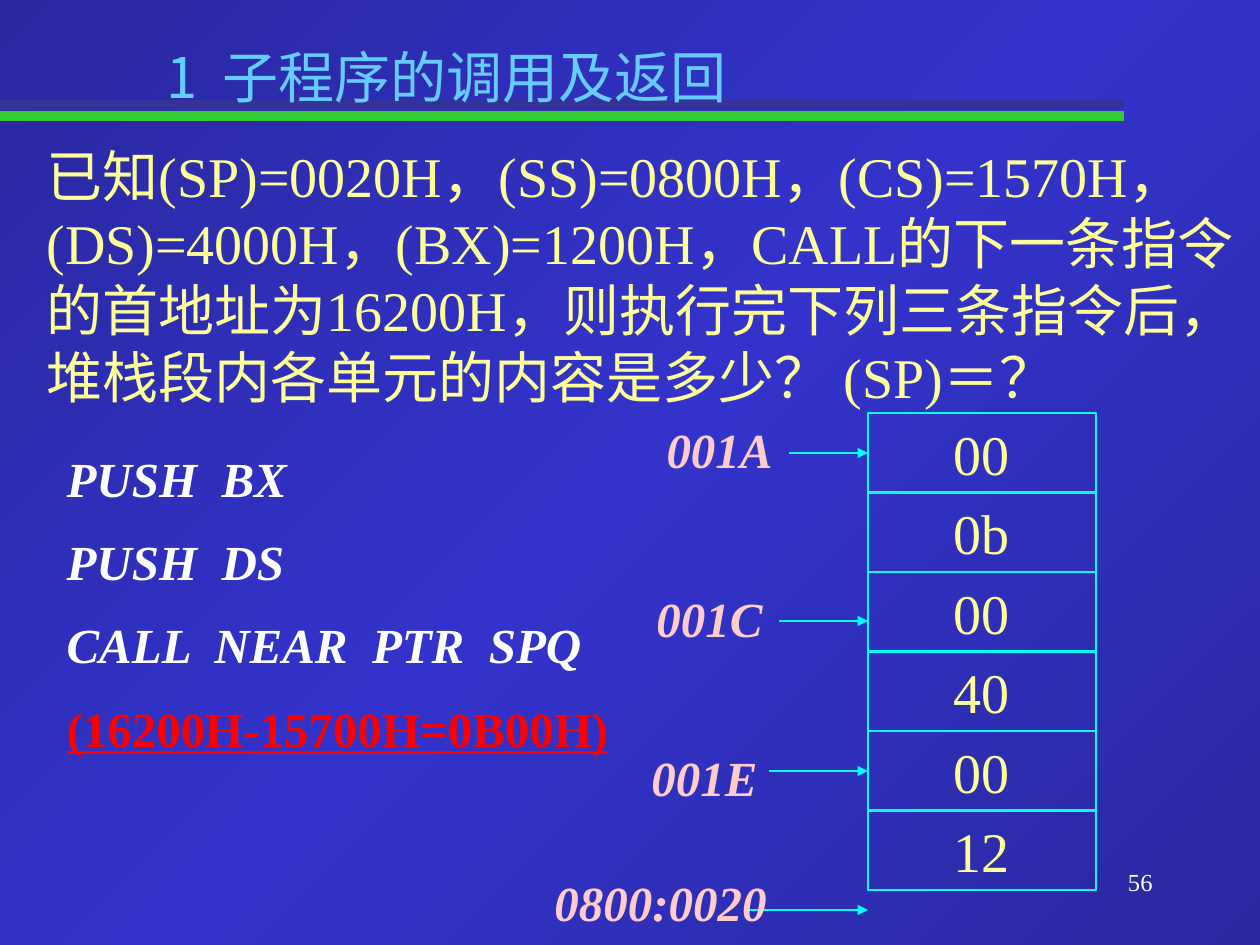
from lxml.etree import SubElement
from copy import deepcopy
from pptx import Presentation
from pptx.dml.color import RGBColor
from pptx.enum.shapes import MSO_CONNECTOR, MSO_SHAPE
from pptx.enum.text import MSO_ANCHOR, MSO_AUTO_SIZE, PP_ALIGN
from pptx.oxml.ns import qn
from pptx.util import Pt

PX = 914400 / 126
LATIN, CJK = "Times New Roman", "Noto Sans CJK SC"

BLUE = RGBColor(0x33, 0x33, 0xCC)
DARK_BLUE = RGBColor(0x28, 0x28, 0x9F)
NAVY = RGBColor(0x33, 0x33, 0x99)
GREEN = RGBColor(0x33, 0xCC, 0x33)
CYAN = RGBColor(0x00, 0xFF, 0xFF)
SKY = RGBColor(0x66, 0xCC, 0xFF)
YELLOW = RGBColor(0xFF, 0xFF, 0x99)
PINK = RGBColor(0xFF, 0xCC, 0xCC)
RED = RGBColor(0xFF, 0x00, 0x00)
WHITE = RGBColor(0xFF, 0xFF, 0xFF)

# Content
TITLE = "1  子程序的调用及返回"
PROBLEM = ("已知(SP)=0020H，(SS)=0800H，(CS)=1570H，(DS)=4000H，(BX)=1200H，"
           "CALL的下一条指令的首地址为16200H，则执行完下列三条指令后，"
           "堆栈段内各单元的内容是多少？ (SP)＝？")
INSTRUCTIONS = ["PUSH  BX", "PUSH  DS", "CALL  NEAR  PTR  SPQ"]
OFFSET = "(16200H-15700H=0B00H)"
PAGE_NUMBER = "56"
STACK = ["00", "0b", "00", "40", "00", "12"]
# address, label box (px), arrow start x, arrow y, index of the cell joined
POINTERS = [
    ("0800:0020", (512, 866, 297, 72), 748, 910, None),
    ("001E", (620, 741, 169, 72), 769, 771, 4),
    ("001C", (630, 582, 159, 72), 779, 621, None),
    ("001A", (640, 413, 159, 72), 789, 453, 0),
]
RULES = [(105, NAVY), (116, GREEN)]

# Text formats
TITLE_FORMAT = dict(name=CJK, size=Pt(32), color=SKY, bold=False)
PROBLEM_FORMAT = dict(name=LATIN, size=Pt(32), color=YELLOW)
CODE_FORMAT = dict(name=LATIN, size=Pt(28), color=WHITE, bold=True, italic=True)
OFFSET_FORMAT = dict(name=LATIN, size=Pt(28), color=RED, bold=True, italic=False,
                     underline=True)
LABEL_FORMAT = dict(name=LATIN, size=Pt(28), color=PINK, bold=True, italic=True)
NUMBER_FORMAT = dict(name=LATIN, size=Pt(14), color=WHITE)

# Stack column, px
STACK_LEFT, STACK_TOP, CELL_WIDTH, CELL_HEIGHT, CELL_STEP = 868, 413, 228, 80, 79.4


def emu(*lengths):
    return [round(length * PX) for length in lengths]


def write(shape, lines, align=PP_ALIGN.LEFT, anchor=MSO_ANCHOR.TOP):
    """Fill a shape with (text, format) paragraphs."""
    frame = shape.text_frame
    frame.word_wrap = True
    frame.auto_size = MSO_AUTO_SIZE.NONE
    frame.vertical_anchor = anchor
    for index, (text, style) in enumerate(lines):
        para = frame.add_paragraph() if index else frame.paragraphs[0]
        para.alignment = align
        para.line_spacing = Pt(style["size"].pt * 1.2)
        para.space_before = Pt(style["size"].pt / 2 if index else 0)
        if shape.is_placeholder:
            properties = para._p.get_or_add_pPr()
            properties.set("marL", "0")
            properties.set("indent", "0")
            SubElement(properties, qn("a:buNone"))
        span = para.add_run()
        span.text = text
        for key, value in style.items():
            if key == "color":
                span.font.color.rgb = value
            else:
                setattr(span.font, key, value)
        SubElement(span._r.get_or_add_rPr(), qn("a:ea")).set("typeface", CJK)


def place(shape, *bounds):
    shape.left, shape.top, shape.width, shape.height = emu(*bounds)
    return shape


def add_line(page, start, end, color, width):
    line = page.shapes.add_connector(MSO_CONNECTOR.STRAIGHT, *emu(*start, *end))
    line.line.color.rgb = color
    line.line.width = Pt(width)
    SubElement(line._element.spPr, qn("a:effectLst"))
    return line


deck = Presentation()
deck.slide_width, deck.slide_height = emu(1260, 945)
page = deck.slides.add_slide(deck.slide_layouts[1])

# Diagonal background gradient
fill = page.background.fill
fill.gradient()
fill.gradient_angle = 315
stop_list = fill._fill._gradFill.find(qn("a:gsLst"))
stop_list.append(deepcopy(stop_list[-1]))
for stop, color, position in zip(fill.gradient_stops, (DARK_BLUE, BLUE, DARK_BLUE),
                                 (0, 0.5, 1)):
    stop.color.rgb = color
    stop.position = position

# Rules sent to the back, behind the title; the last one goes lowest
for y, color in RULES:
    rule = add_line(page, (0, y), (1124, y), color, 5.5)
    page.shapes._spTree.insert(2, rule._element)

# Title, problem, instructions, page number
write(place(page.shapes.title, 154, 36, 1062, 79), [(TITLE, TITLE_FORMAT)])
problem = page.shapes.add_textbox(*emu(34, 135, 1226, 281))
write(problem, [(PROBLEM, PROBLEM_FORMAT)], anchor=MSO_ANCHOR.MIDDLE)
code = place(page.placeholders[1], 54, 442, 630, 339)
write(code, [(text, CODE_FORMAT) for text in INSTRUCTIONS] + [(OFFSET, OFFSET_FORMAT)])
number = page.shapes.add_textbox(*emu(903, 861, 262, 63))
write(number, [(PAGE_NUMBER, NUMBER_FORMAT)], PP_ALIGN.RIGHT)

# Stack cells
cells = []
for index, value in enumerate(STACK):
    top = STACK_TOP + round(index * CELL_STEP)
    cell = page.shapes.add_shape(MSO_SHAPE.RECTANGLE,
                                 *emu(STACK_LEFT, top, CELL_WIDTH, CELL_HEIGHT))
    cell.shadow.inherit = False
    cell.fill.background()
    cell.line.color.rgb = CYAN
    cell.line.width = Pt(0.75)
    write(cell, [(value, PROBLEM_FORMAT)], PP_ALIGN.CENTER)
    cells.append(cell)

# Address labels and their arrows
for address, bounds, x, y, target in POINTERS:
    arrow = add_line(page, (x, y), (STACK_LEFT, y), CYAN, 0.75)
    SubElement(arrow.line._get_or_add_ln(), qn("a:tailEnd")).set("type", "triangle")
    if target is not None:
        arrow.end_connect(cells[target], 1)
    label = page.shapes.add_textbox(*emu(*bounds))
    write(label, [(address, LABEL_FORMAT)], PP_ALIGN.CENTER)

deck.save("out.pptx")
